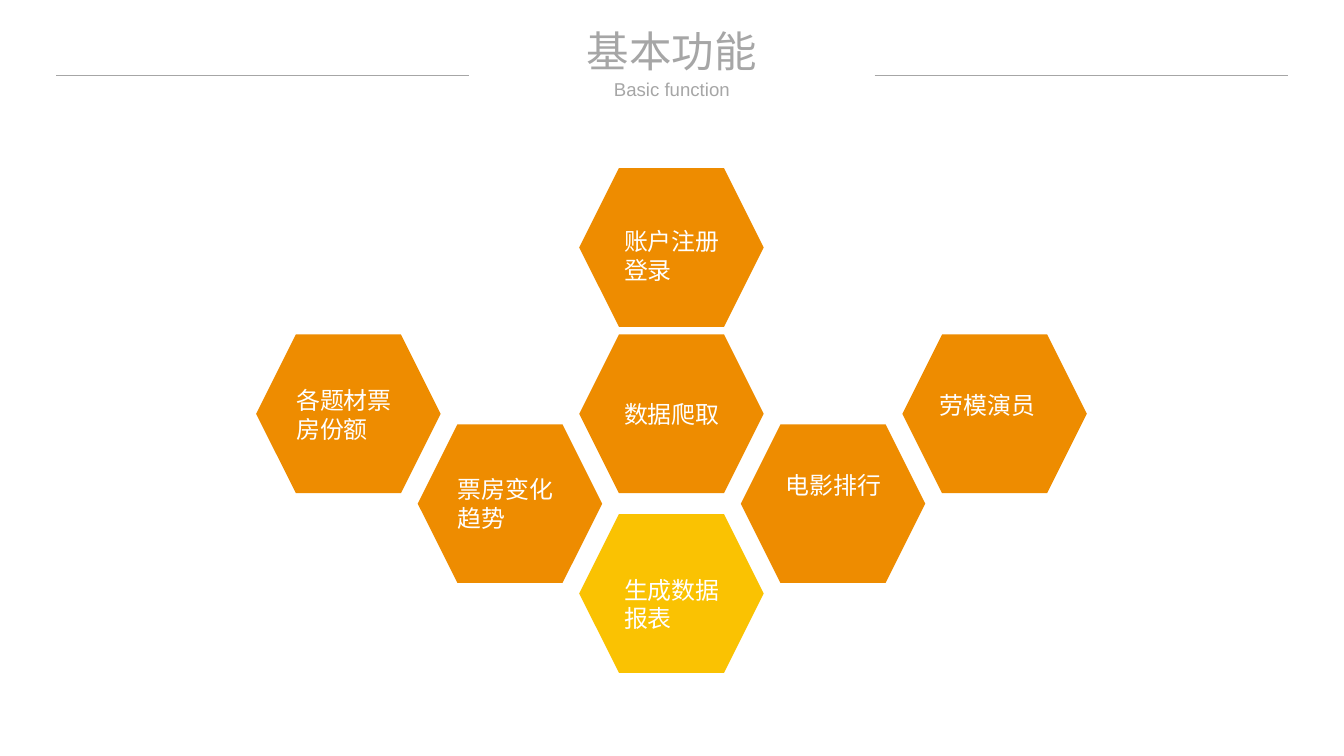
from lxml import etree
from pptx import Presentation
from pptx.dml.color import RGBColor
from pptx.enum.shapes import MSO_CONNECTOR, MSO_SHAPE
from pptx.enum.text import MSO_ANCHOR, MSO_AUTO_SIZE, PP_ALIGN
from pptx.oxml.ns import qn
from pptx.util import Inches, Pt

HEX = MSO_SHAPE.HEXAGON
LINE = MSO_CONNECTOR.STRAIGHT
LEFT, MID = PP_ALIGN.LEFT, PP_ALIGN.CENTER
TOP, CENTER = MSO_ANCHOR.TOP, MSO_ANCHOR.MIDDLE
NONE = MSO_AUTO_SIZE.NONE
CJK = "Noto Sans CJK SC"
GRAY, WHITE, ORANGE, GOLD = "A6A6A6", "FFFFFF", "EE8C00", "FAC202"
WIDE, HIGH = 14.06, 7.91


def color(code):
    return RGBColor.from_string(code)


def write(text, box, shape=None, size=18, font=CJK, ink=WHITE,
          align=LEFT, anchor=TOP, pad=(0.1, 0.05)):
    place = [Inches(n) for n in box]
    if shape is None:
        shape = slide.shapes.add_textbox(*place)
    shape.left, shape.top, shape.width, shape.height = place
    frame = shape.text_frame
    frame.word_wrap = True
    frame.auto_size = NONE
    frame.vertical_anchor = anchor
    frame.margin_left = frame.margin_right = Inches(pad[0])
    frame.margin_top = frame.margin_bottom = Inches(pad[1])
    para = frame.paragraphs[0]
    para.alignment = align
    para.line_spacing = 1.0
    para.space_before = Pt(0)
    run = para.add_run()
    run.text = text
    run.font.size = Pt(size)
    run.font.name = font
    run.font.color.rgb = color(ink)
    east = etree.SubElement(run.font._element, qn("a:ea"))
    east.set("typeface", CJK)


deck = Presentation()
deck.slide_width, deck.slide_height = Inches(WIDE), Inches(HIGH)
slide = deck.slides.add_slide(deck.slide_layouts[5])

head = dict(ink=GRAY, font="Arial", align=MID, anchor=CENTER, pad=(0, 0))
write("基本功能", ((WIDE - 4.32) / 2, 0.26, 4.32, 0.54),
      shape=slide.shapes.title, size=32, **head)
write("Basic function", ((WIDE - 3.07) / 2, 0.81, 3.07, 0.24),
      size=14, **head)

span, edge, rule = 4.32, 0.59, HIGH / 10
for start in (edge, WIDE - edge - span):
    line = slide.shapes.add_connector(
        LINE, Inches(start), Inches(rule), Inches(start + span), Inches(rule))
    line.line.color.rgb = color(GRAY)
    line.line.width = Pt(1)
    etree.SubElement(line._element.spPr, qn("a:effectLst"))

side, step = 2.68, 1.69
rows = (1.76, 3.5, 4.44, 5.38)
cells = (
    ("账户注册登录", 2, 0, ORANGE, 0.37, 0.56),
    ("各题材票房份额", 0, 1, ORANGE, 0.32, 0.49),
    ("数据爬取", 2, 1, ORANGE, 0.37, 0.63),
    ("劳模演员", 4, 1, ORANGE, 0.29, 0.54),
    ("票房变化趋势", 1, 2, ORANGE, 0.32, 0.48),
    ("电影排行", 3, 2, ORANGE, 0.37, 0.43),
    ("生成数据报表", 2, 3, GOLD, 0.37, 0.59),
)
for text, col, row, fill, right, down in cells:
    x, y = side + col * step, rows[row]
    tile = slide.shapes.add_shape(
        HEX, Inches(x), Inches(y), Inches(1.93), Inches(1.66))
    tile.shadow.inherit = False
    tile.fill.solid()
    tile.fill.fore_color.rgb = color(fill)
    tile.line.fill.background()
    tall = 0.71 if len(text) > 4 else 0.4
    write(text, (x + right, y + down, 1.34, tall))

deck.save("out.pptx")
